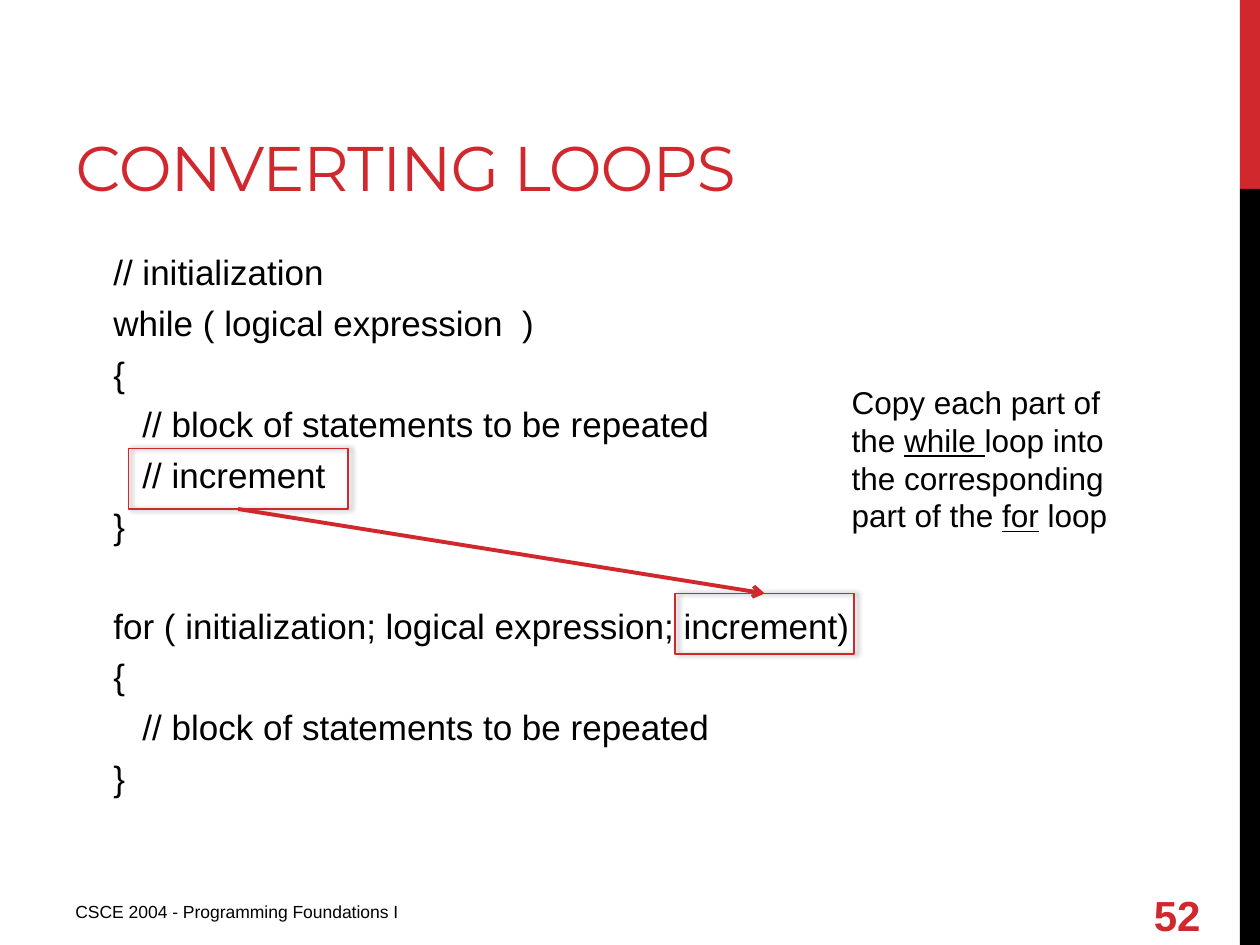
import dataclasses

import lxml.etree
import pptx
import pptx.dml.color
import pptx.enum.shapes
import pptx.enum.text
import pptx.oxml.ns
import pptx.util

Inches = pptx.util.Inches
Pt = pptx.util.Pt
Anchor = pptx.enum.text.MSO_ANCHOR
qn = pptx.oxml.ns.qn


@dataclasses.dataclass(frozen=True)
class Theme:
    red: str = "D1282E"
    black: str = "000000"
    heading_font: str = "Montserrat"
    body_font: str = "Arial"
    title_size: float = 36
    number_size: float = 24
    code_size: float = 20
    note_size: float = 18
    footer_size: float = 10
    code_gap: float = 5
    code_pitch: float = 28


def rgb(value):
    return pptx.dml.color.RGBColor.from_string(value)


class SlideBuilder:
    """Holds the theme and the current slide, and adds each kind of element."""

    def __init__(self, deck, theme):
        self.theme = theme
        self.page = deck.slides.add_slide(deck.slide_layouts[5])

    def style(self, font, size, color, name=None, bold=False):
        font.name = name or self.theme.body_font
        font.size = Pt(size)
        font.bold = bold
        font.color.rgb = rgb(color)

    def title(self, text, left, top, width, height):
        box = self.page.shapes.title
        box.left, box.top = Inches(left), Inches(top)
        box.width, box.height = Inches(width), Inches(height)
        frame = box.text_frame
        frame.text = text
        frame.auto_size = pptx.enum.text.MSO_AUTO_SIZE.NONE
        frame.vertical_anchor = Anchor.BOTTOM
        para = frame.paragraphs[0]
        para.alignment = pptx.enum.text.PP_ALIGN.LEFT
        span = para.runs[0]
        self.style(span.font, self.theme.title_size, self.theme.red, self.theme.heading_font)
        span.font._element.set("spc", "-60")

    def text(self, text, left, top, width, height, size, color=None, bold=False, anchor=Anchor.TOP):
        box = self.page.shapes.add_textbox(Inches(left), Inches(top), Inches(width), Inches(height))
        frame = box.text_frame
        frame.word_wrap = True
        frame.vertical_anchor = anchor
        frame.text = text
        for para in frame.paragraphs:
            for span in para.runs:
                self.style(span.font, size, color or self.theme.black, bold=bold)
        return frame

    def code(self, blocks, left, top, width, height):
        lines = [line for block in blocks for line in block]
        frame = self.text("\n".join(lines), left, top, width, height, self.theme.code_size)
        frame.margin_left = Inches(0.4)
        for para in frame.paragraphs[1:]:
            para.space_before = Pt(self.theme.code_gap)
        start = 0
        for block in blocks[:-1]:
            start += len(block)
            frame.paragraphs[start].space_before = Pt(self.theme.code_gap + self.theme.code_pitch)

    def note(self, parts, left, top, width, height):
        frame = self.text("", left, top, width, height, self.theme.note_size)
        for words, underlined in parts:
            span = frame.paragraphs[0].add_run()
            span.text = words
            self.style(span.font, self.theme.note_size, self.theme.black)
            span.font.underline = underlined

    def rectangle(self, left, top, width, height):
        box = self.page.shapes.add_shape(
            pptx.enum.shapes.MSO_SHAPE.RECTANGLE,
            Inches(left), Inches(top), Inches(width), Inches(height))
        box.shadow.inherit = False
        return box

    def bar(self, left, top, width, height, color):
        box = self.rectangle(left, top, width, height)
        box.fill.solid()
        box.fill.fore_color.rgb = rgb(color)
        box.line.fill.background()

    def highlight(self, left, top, width, height):
        box = self.rectangle(left, top, width, height)
        box.fill.background()
        box.line.color.rgb = rgb(self.theme.red)
        box.line.width = Pt(1)
        effects = box._element.spPr.find(qn("a:effectLst"))
        shadow = lxml.etree.SubElement(
            effects, qn("a:outerShdw"), blurRad=str(Pt(3.1)), dist=str(Pt(1.8)),
            dir="0", rotWithShape="0")
        color = lxml.etree.SubElement(shadow, qn("a:srgbClr"), val=self.theme.black)
        lxml.etree.SubElement(color, qn("a:alpha"), val="40000")
        return box

    def arrow(self, source, target):
        line = self.page.shapes.add_connector(
            pptx.enum.shapes.MSO_CONNECTOR.STRAIGHT, 0, 0, 0, 0)
        line.begin_connect(source, 2)
        line.end_connect(target, 0)
        line.line.color.rgb = rgb(self.theme.red)
        line.line.width = Pt(2.25)
        lxml.etree.SubElement(line.line._get_or_add_ln(), qn("a:tailEnd"), type="arrow")
        lxml.etree.SubElement(line._element.spPr, qn("a:effectLst"))


def main():
    deck = pptx.Presentation()
    deck.slide_width, deck.slide_height = Inches(10), Inches(7.5)
    theme = Theme()
    slide = SlideBuilder(deck, theme)

    slide.bar(9.84, 0, 0.16, 1.5, theme.red)
    slide.bar(9.84, 1.5, 0.16, 6, theme.black)
    slide.title("CONVERTING LOOPS", 0.5, 0.17, 6.33, 1.5)

    statements = "   // block of statements to be repeated"
    while_loop = ["// initialization", "while ( logical expression  )", "{",
                  statements, "   // increment", "}"]
    for_loop = ["for ( initialization; logical expression; increment)", "{", statements, "}"]
    slide.code([while_loop, for_loop], 0.5, 1.94, 8.33, 4.76)

    slide.text("CSCE 2004 - Programming Foundations I", 0.5, 7.1, 3.75, 0.31, theme.footer_size)
    slide.text("52", 9.06, 7.06, 0.74, 0.4, theme.number_size, theme.red, True, Anchor.MIDDLE)

    while_part = slide.highlight(1.02, 3.56, 1.74, 0.48)
    for_part = slide.highlight(5.36, 4.71, 1.42, 0.48)
    slide.note([("Copy each part of the ", False), ("while ", True),
                ("loop into the corresponding part of the ", False),
                ("for", True), (" loop", False)], 6.66, 2.99, 2.41, 1.31)
    slide.arrow(while_part, for_part)

    deck.save("out.pptx")


if __name__ == "__main__":
    main()
